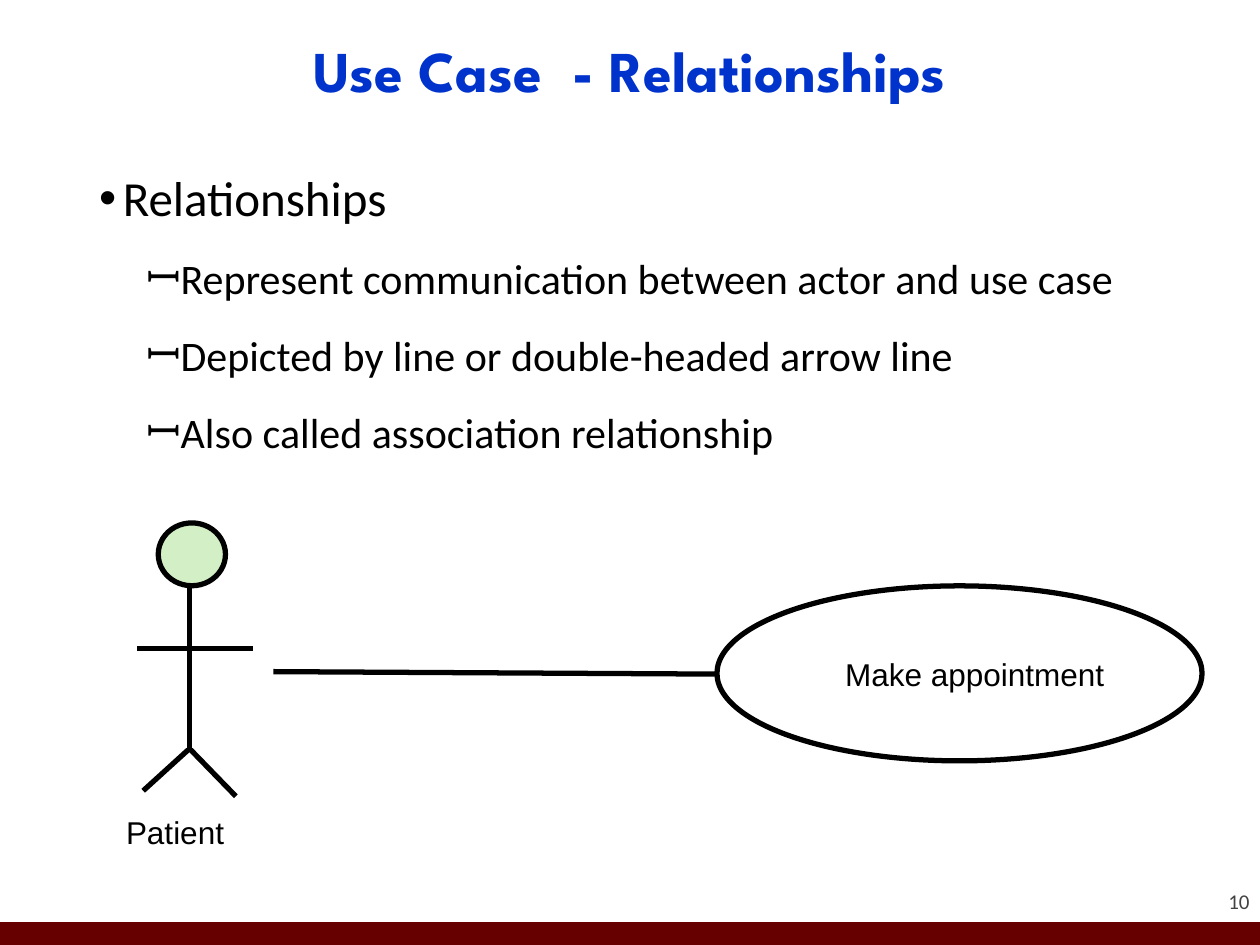
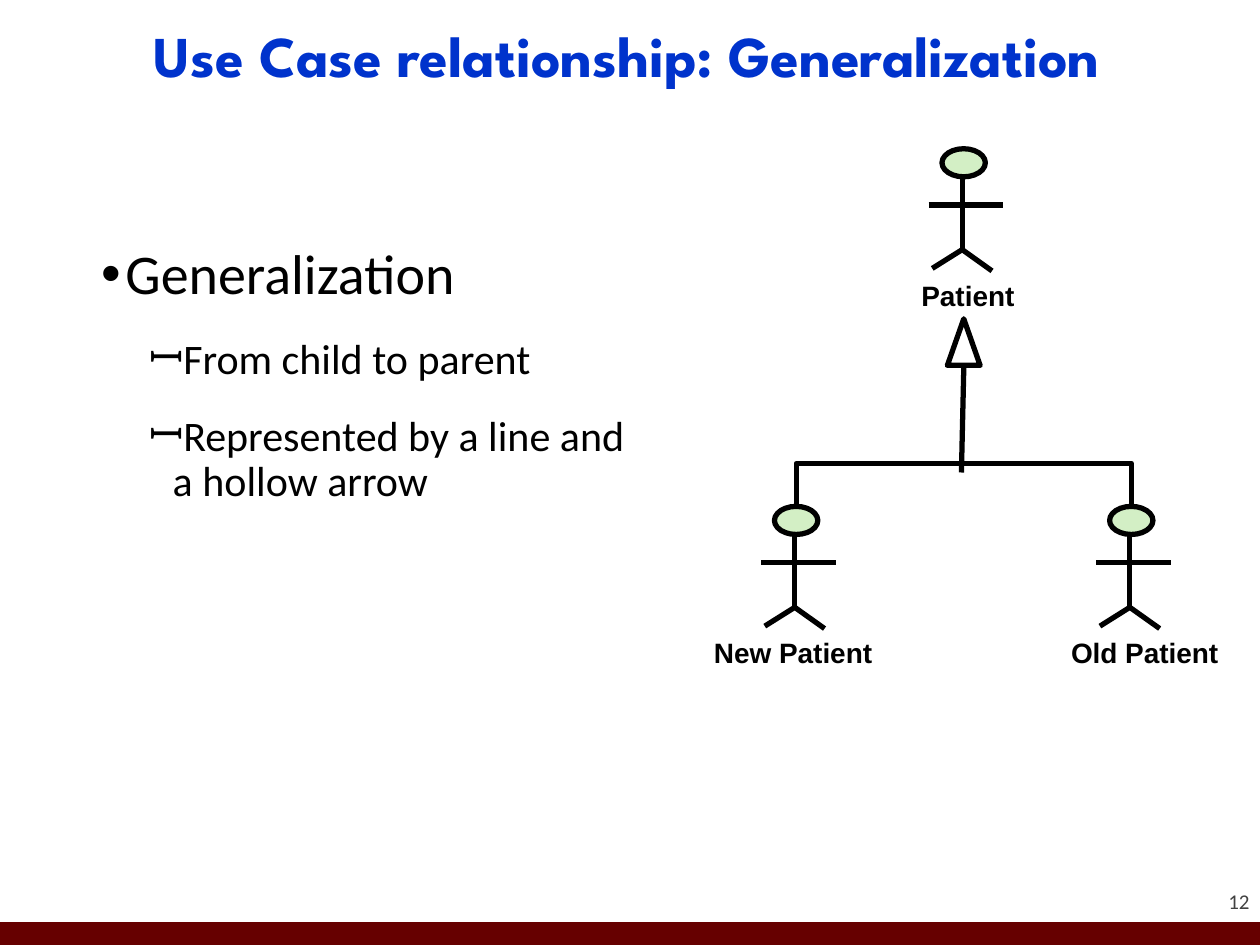
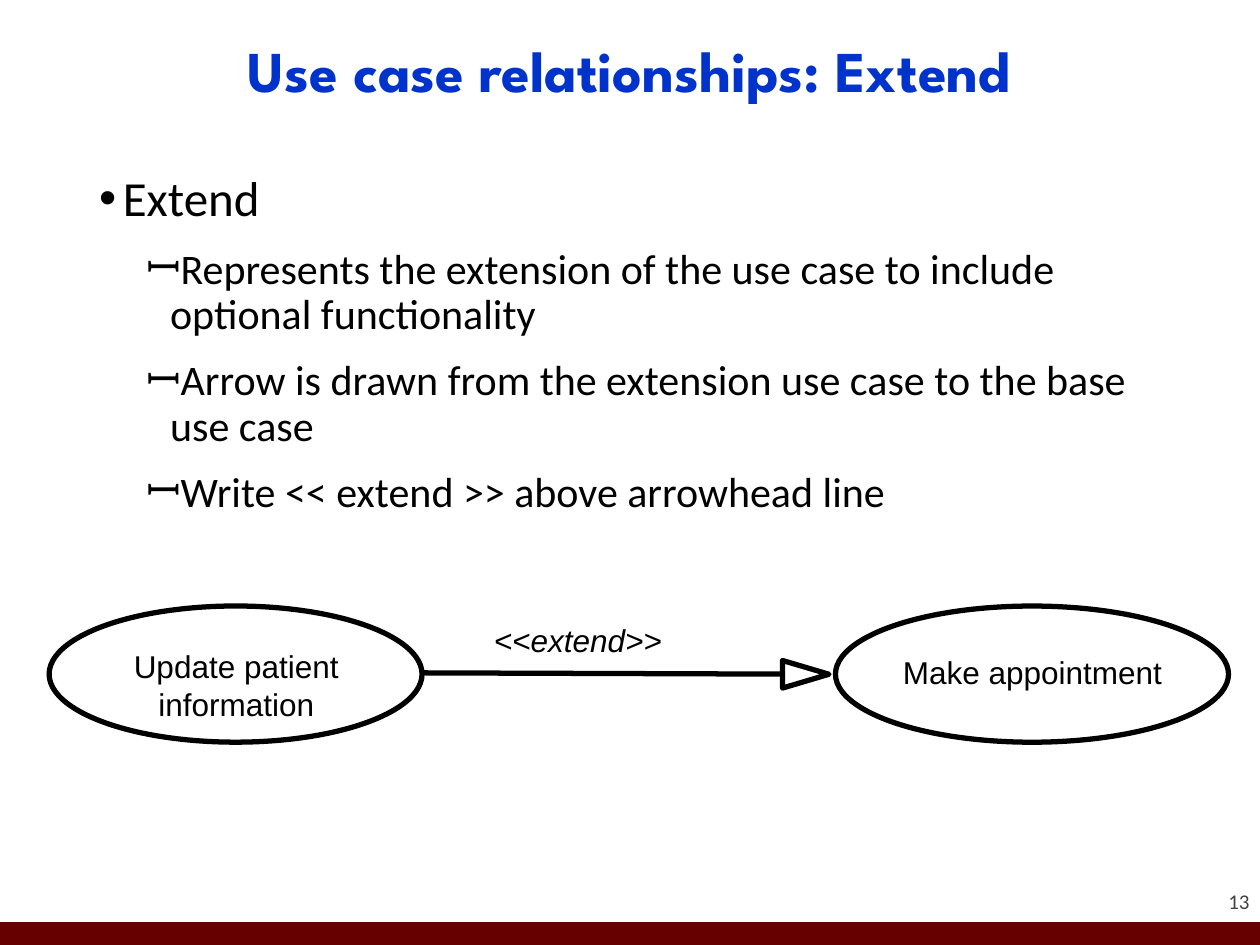
"""Three slides on use case relationships: association, generalization and extend."""
from lxml.etree import SubElement
from pptx import Presentation
from pptx.dml.color import RGBColor as RGB
from pptx.enum.shapes import MSO_CONNECTOR as CONN, MSO_SHAPE as SHAPE
from pptx.enum.text import MSO_ANCHOR as ANCHOR, MSO_AUTO_SIZE as FIT, PP_ALIGN as ALIGN
from pptx.oxml.ns import qn
from pptx.util import Pt

COLORS = {"title": "0033CC", "band": "660000", "number": "424242",
          "ink": "000000", "head": "D3EFC5"}
COLORS = {name: RGB.from_string(value) for name, value in COLORS.items()}
STROKE = 3


def add_line(shapes, x1, y1, x2, y2):
    line = shapes.add_connector(CONN.STRAIGHT, Pt(x1), Pt(y1), Pt(x2), Pt(y2))
    line.line.color.rgb = COLORS["ink"]
    line.line.width = Pt(STROKE)
    SubElement(line._element.spPr, qn("a:effectLst"))


def add_label(shapes, text, x, y, w, h, size=18, font="Arial", color="ink",
              align=ALIGN.LEFT, anchor=ANCHOR.TOP, bold=False, italic=False):
    tf = shapes.add_textbox(Pt(x), Pt(y), Pt(w), Pt(h)).text_frame
    tf.margin_left = tf.margin_top = tf.margin_right = tf.margin_bottom = 0
    tf.word_wrap = True
    tf.vertical_anchor = anchor
    tf.text = text
    p = tf.paragraphs[0]
    p.alignment = align
    f = p.runs[0].font
    f.name, f.size, f.bold, f.italic = font, Pt(size), bold, italic
    f.color.rgb = COLORS[color]


prs = Presentation()
prs.slide_width, prs.slide_height = Pt(720), Pt(540)

pages = [
    {"number": "10", "title": "Use Case  - Relationships", "title_at": (49.5, 8.5),
     "body_at": (49.5, 95.75, 620.5, 390), "top_size": 28, "hang": 13.5, "gap": 18,
     "items": ["Relationships",
               "Represent communication between actor and use case",
               "Depicted by line or double-headed arrow line",
               "Also called association relationship"]},
    {"number": "12", "title": "Use Case relationship: Generalization", "title_at": (48, 0),
     "body_at": (51, 137, 320.5, 337), "top_size": 32, "hang": 15.75, "gap": 18,
     "items": ["Generalization",
               "From child to parent",
               "Represented by a line and a hollow arrow"]},
    {"number": "13", "title": "Use case relationships: Extend", "title_at": (49.5, 8.5),
     "body_at": (49.5, 95.75, 637, 390), "top_size": 28, "hang": 13.5, "gap": 12,
     "items": ["Extend",
               "Represents the extension of the use case to include optional functionality",
               "Arrow is drawn from the extension use case to the base use case",
               "Write << extend >> above arrowhead line"]},
]

for page in pages:
    s = prs.slides.add_slide(prs.slide_layouts[1])

    band = s.shapes.add_shape(SHAPE.RECTANGLE, 0, Pt(527), Pt(720), Pt(13))
    band.shadow.inherit = False
    band.fill.solid()
    band.fill.fore_color.rgb = COLORS["band"]
    band.line.fill.background()
    add_label(s.shapes, page["number"], 654, 493.5, 60, 28.5, 12, "Calibri", "number",
              ALIGN.RIGHT, ANCHOR.BOTTOM)

    title = s.shapes.title
    title.left, title.top = [Pt(v) for v in page["title_at"]]
    title.width, title.height = Pt(620.5), Pt(67.5)
    tf = title.text_frame
    tf.text = page["title"]
    tf.auto_size = FIT.NONE
    tf.vertical_anchor = ANCHOR.MIDDLE
    p = tf.paragraphs[0]
    p.alignment = ALIGN.CENTER
    p.line_spacing = 0.9
    f = p.runs[0].font
    f.name, f.size, f.bold = "League Spartan", Pt(33), True
    f.color.rgb = COLORS["title"]

    body = s.placeholders[1]
    body.left, body.top, body.width, body.height = [Pt(v) for v in page["body_at"]]
    tf = body.text_frame
    tf.text = "\n".join(page["items"])
    tf.auto_size = FIT.NONE
    for i, p in enumerate(tf.paragraphs):
        p.level = min(i, 1)
        p.line_spacing = 0.9
        p.space_before = Pt(page["gap"] if i else 0)
        f = p.runs[0].font
        f.name, f.size = "Calibri", Pt(24 if i else page["top_size"])
        f.color.rgb = COLORS["ink"]
        pPr = p._p.get_or_add_pPr()
        pPr.set("marL", str(Pt(40.5 if i else 13.5)))
        pPr.set("indent", str(-Pt(13.5 if i else page["hang"])))
        SubElement(SubElement(pPr, qn("a:buClr")), qn("a:srgbClr"), val=str(COLORS["ink"]))
        SubElement(pPr, qn("a:buChar"), char="ꟷ" if i else "•")

association, generalization, extend = prs.slides

actors = [
    (association, "Patient", 78.5, 298.8, 66.2, 156.2, 72, 18, False),
    (generalization, "Patient", 530.6, 85, 42.7, 69.8, 526.5, 16, True),
    (generalization, "New Patient", 434.9, 289.4, 42.7, 69.8, 408, 16, True),
    (generalization, "Old Patient", 626.4, 289.4, 42.7, 69.8, 612, 16, True),
]
limbs = [(0.45, 0.23, 0.45, 0.84), (0, 0.46, 1, 0.46),
         (0.44, 0.83, 0.05, 0.98), (0.46, 0.83, 0.85, 1)]
for s, name, x, y, w, h, label_x, size, bold in actors:
    actor = s.shapes.add_group_shape()
    for x1, y1, x2, y2 in limbs:
        add_line(actor.shapes, x + x1 * w, y + y1 * h, x + x2 * w, y + y2 * h)
    head = actor.shapes.add_shape(SHAPE.OVAL, Pt(x + 0.18 * w), Pt(y),
                                  Pt(0.58 * w), Pt(0.23 * h))
    head.shadow.inherit = False
    head.fill.solid()
    head.fill.fore_color.rgb = COLORS["head"]
    head.line.color.rgb = COLORS["ink"]
    head.line.width = Pt(STROKE)
    add_label(actor.shapes, name, label_x, y + 1.06 * h, 96, 1.2 * size, size, bold=bold)

outlines = [
    (association, SHAPE.OVAL, 409.7, 334.8, 277.2, 100, 0),
    (generalization, SHAPE.ISOSCELES_TRIANGLE, 541.4, 182.2, 18.7, 26.6, 0),
    (extend, SHAPE.OVAL, 477.4, 346.3, 224.6, 77.8, 0),
    (extend, SHAPE.OVAL, 28.1, 346.3, 213.1, 77.8, 0),
    (extend, SHAPE.ISOSCELES_TRIANGLE, 452.5, 372, 15.8, 26.6, 90),
]
for s, kind, x, y, w, h, turn in outlines:
    sp = s.shapes.add_shape(kind, Pt(x), Pt(y), Pt(w), Pt(h))
    sp.shadow.inherit = False
    sp.rotation = turn
    sp.fill.background()
    sp.line.color.rgb = COLORS["ink"]
    sp.line.width = Pt(STROKE)

add_line(association.shapes, 156.2, 383.8, 409.7, 385.2)
add_line(generalization.shapes, 550.8, 208.8, 549.4, 270)
add_line(extend.shapes, 241.2, 384.5, 447.1, 385.2)

builder = generalization.shapes.build_freeform(Pt(455), Pt(289.4))
builder.add_line_segments([(Pt(455), Pt(264.8)), (Pt(646.5), Pt(264.8)),
                           (Pt(646.5), Pt(289.4))], close=False)
bracket = builder.convert_to_shape()
bracket.shadow.inherit = False
bracket.fill.background()
bracket.line.color.rgb = COLORS["ink"]
bracket.line.width = Pt(STROKE)

add_label(association.shapes, "Make appointment", 483, 374.4, 152, 21.6)
add_label(extend.shapes, "Make appointment", 516, 373, 152, 21.6)
add_label(extend.shapes, "Update patient information", 58.3, 370, 153.4, 44, align=ALIGN.CENTER)
add_label(extend.shapes, "<<extend>>", 282.2, 355, 100, 21.6, italic=True)

prs.save("out.pptx")
